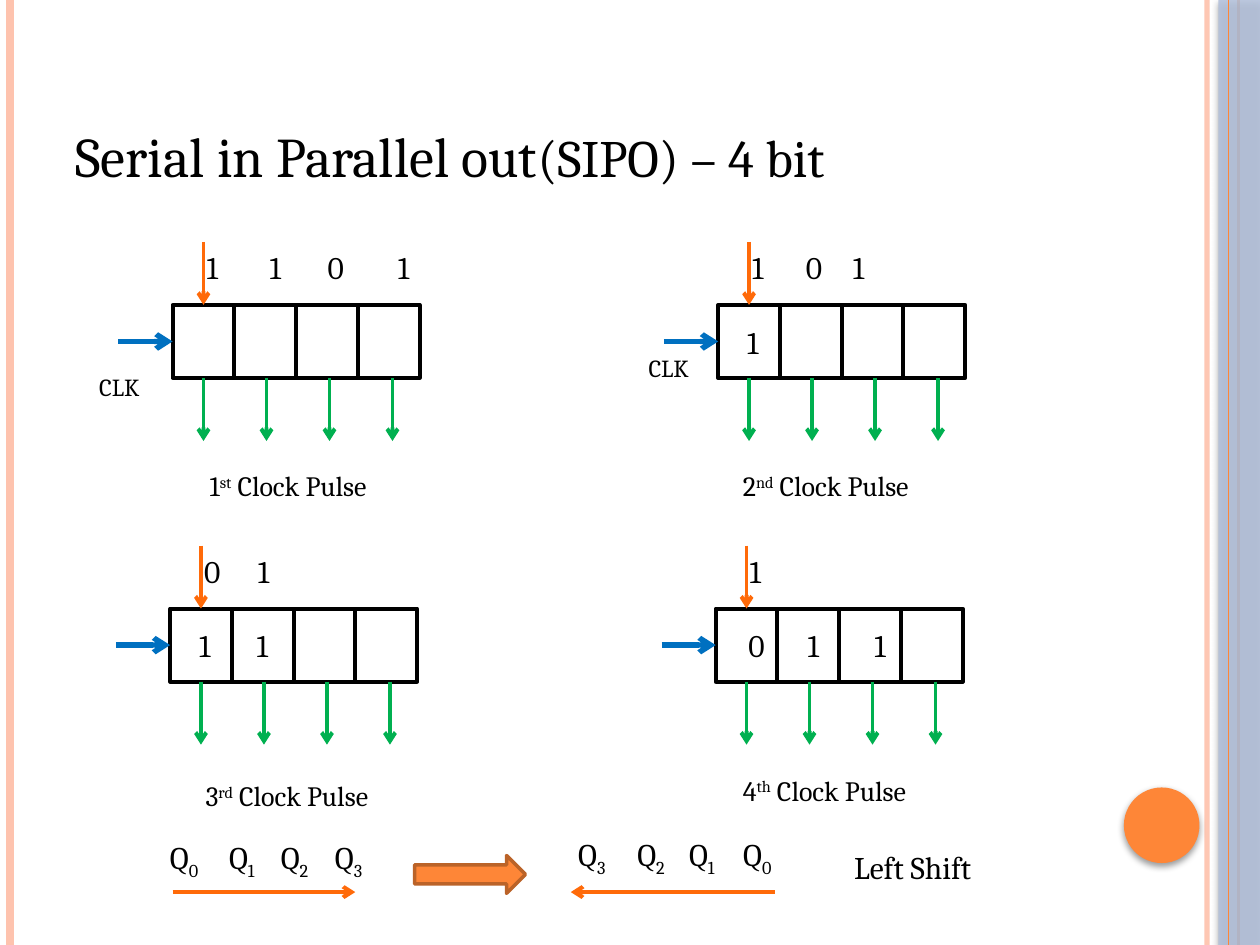
from dataclasses import dataclass

from lxml import etree
from pptx import Presentation
from pptx.dml.color import RGBColor
from pptx.enum.shapes import MSO_CONNECTOR, MSO_SHAPE
from pptx.enum.text import MSO_ANCHOR, PP_ALIGN
from pptx.oxml.ns import qn
from pptx.util import Inches, Pt

STRAIGHT = MSO_CONNECTOR.STRAIGHT
RECT, OVAL, ARROW = MSO_SHAPE.RECTANGLE, MSO_SHAPE.OVAL, MSO_SHAPE.RIGHT_ARROW
LEFT, CENTER = PP_ALIGN.LEFT, PP_ALIGN.CENTER


@dataclass(frozen=True)
class Theme:
    font: str = "Cambria"
    ink: str = "000000"
    accent: str = "FE8637"
    accent_dark: str = "BB6328"
    serial: str = "FF6A09"
    clock: str = "0070C0"
    output: str = "00B050"
    pale: str = "FEC3AE"
    band: str = "B3C1DB"
    title: int = 32
    title_end: int = 30
    bit: int = 18
    caption: int = 16
    small: int = 14


@dataclass(frozen=True)
class Register:
    """Offsets are in cells (columns, rows) from the register's top left."""
    x: float
    y: float
    ordinal: tuple[str, str]
    caption: tuple[float, float]
    waiting: tuple[tuple[float, str], ...]
    stored: tuple[tuple[float, str], ...] = ()
    clk: tuple[float, float] | None = None


T = Theme()
SW, SH = 10, 7.5
CELL_W, CELL_H, CELLS = 0.49, 0.58, 4
TAP, ARROW_LEN = 0.5, 0.5  # output pitch and arrow length
ROW_1, ROW_2 = 2.42, 4.83

REGISTERS = (
    Register(1.37, ROW_1, ("1", "st"), (-0.73, 2.16),
             ((0.35, "1"), (1.37, "1"), (2.31, "0"), (3.45, "1")),
             clk=(-1.39, 0.84)),
    Register(5.7, ROW_1, ("2", "nd"), (-0.86, 2.16),
             ((0.35, "1"), (1.22, "0"), (1.98, "1")), ((0.27, "1"),),
             clk=(-1.33, 0.57)),
    Register(1.35, ROW_2, ("3", "rd"), (-0.71, 2.24),
             ((0.35, "0"), (1.22, "1")), ((0.27, "1"), (1.2, "1"))),
    Register(5.68, ROW_2, ("4", "th"), (-0.84, 2.17),
             ((0.35, "1"),), ((0.33, "0"), (1.29, "1"), (2.37, "1"))),
)


def set_alpha(fill_parent, percent: int) -> None:
    color = next(fill_parent.iter(qn("a:srgbClr")))
    etree.SubElement(color, qn("a:alpha"), val=str(percent * 1000))


def add_line(s, x1: float, y1: float, x2: float, y2: float, *, color: str,
             width: float, head: bool = False, alpha: int = 100) -> None:
    c = s.shapes.add_connector(STRAIGHT, *map(Inches, (x1, y1, x2, y2)))
    c.line.color.rgb = RGBColor.from_string(color)
    c.line.width = Pt(width)
    ln = c.line._get_or_add_ln()
    if alpha < 100:
        set_alpha(ln, alpha)
    if head:
        etree.SubElement(ln, qn("a:tailEnd"), type="arrow")
    etree.SubElement(c._element.spPr, qn("a:effectLst"))


def add_box(s, kind, x: float, y: float, w: float, h: float, *,
            fill: str = "", line: str = "", width: float = 2.25,
            alpha: int = 100, shadow: bool = False) -> None:
    sp = s.shapes.add_shape(kind, *map(Inches, (x, y, w, h)))
    sp.shadow.inherit = False
    if fill:
        sp.fill.solid()
        sp.fill.fore_color.rgb = RGBColor.from_string(fill)
        if alpha < 100:
            set_alpha(sp._element.spPr, alpha)
    else:
        sp.fill.background()
    if line:
        sp.line.color.rgb = RGBColor.from_string(line)
        sp.line.width = Pt(width)
    else:
        sp.line.fill.background()
    if shadow:
        effects = sp._element.spPr.find(qn("a:effectLst"))
        outer = etree.SubElement(effects, qn("a:outerShdw"), blurRad=str(Pt(4)),
                                 dist=str(Pt(2)), dir="5400000", rotWithShape="0")
        etree.SubElement(outer, qn("a:srgbClr"), val=T.ink)
        set_alpha(outer, 40)


def add_run(p, text: str, *, size: float, base: int = 0) -> None:
    r = p.add_run()
    r.text = text
    r.font.name, r.font.size = T.font, Pt(size)
    r.font.color.rgb = RGBColor.from_string(T.ink)
    if base:
        r.font._element.set("baseline", str(base * 1000))


def add_text(s, x: float, y: float, w: float, h: float, text: str, *,
             size: float, script: str = "", base: int = 0, rest: str = "",
             align=LEFT) -> None:
    tf = s.shapes.add_textbox(*map(Inches, (x, y, w, h))).text_frame
    tf.word_wrap = True
    p = tf.paragraphs[0]
    p.alignment = align
    for part, shift in ((text, 0), (script, base), (rest, 0)):
        if part:
            add_run(p, part, size=size, base=shift)


def draw_frame(s) -> None:
    add_line(s, 9.58, 0, 9.58, SH, color=T.pale, width=3, alpha=93)
    add_line(s, 0.08, 0, 0.08, SH, color=T.pale, width=4.5)
    add_line(s, 9.83, 0, 9.83, SH, color=T.accent, width=1.5)
    add_box(s, RECT, 9.67, 0, 0.33, SH, fill=T.band, alpha=87, shadow=True)
    add_line(s, 9.75, 0, 9.75, SH, color=T.accent, width=0.75)
    add_box(s, OVAL, 8.92, 6.25, 0.6, 0.6, fill=T.accent, shadow=True)


def draw_title(s) -> None:
    title = s.shapes.title
    title.left, title.top, title.width, title.height = map(
        Inches, (0.5, 0.3, 8.17, 1.25))
    tf = title.text_frame
    tf.vertical_anchor = MSO_ANCHOR.BOTTOM
    p = tf.paragraphs[0]
    p.alignment = LEFT
    add_run(p, "Serial in Parallel out", size=T.title)
    add_run(p, "(SIPO) – 4 bit", size=T.title_end)


def draw_register(s, reg: Register) -> None:
    def at(col: float, row: float) -> tuple[float, float]:
        return reg.x + col * CELL_W, reg.y + row * CELL_H

    for i in range(CELLS):
        add_box(s, RECT, *at(i, 0), CELL_W, CELL_H, line=T.ink)

    # Serial input, clock and parallel outputs
    mid_x, mid_y = at(0.5, 0.5)
    add_line(s, mid_x, reg.y - ARROW_LEN, mid_x, reg.y,
             color=T.serial, width=2.25, head=True)
    add_line(s, reg.x - 0.43, mid_y, reg.x, mid_y,
             color=T.clock, width=3, head=True)
    bottom = reg.y + CELL_H
    for i in range(CELLS):
        x = mid_x + i * TAP
        add_line(s, x, bottom, x, bottom + ARROW_LEN,
                 color=T.output, width=2.25, head=True)

    # Bits and labels
    for bits, row in ((reg.waiting, -0.86), (reg.stored, 0.16)):
        for col, bit in bits:
            add_text(s, *at(col, row), 0.3, 0.4, bit, size=T.bit)
    if reg.clk:
        add_text(s, *at(*reg.clk), 0.65, 0.33, "CLK", size=T.small)
    number, suffix = reg.ordinal
    add_text(s, *at(*reg.caption), 2.55, 0.36, number, script=suffix, base=30,
             rest=" Clock Pulse", size=T.caption, align=CENTER)


def draw_outputs(s, x: float, y: float, order: str) -> None:
    for dx, index in zip((0, 0.47, 0.88, 1.31), order):
        add_text(s, x + dx, y, 0.62, 0.44, "Q", script=index, base=-25, size=T.bit)


def draw_shift(s) -> None:
    draw_outputs(s, 1.25, 6.6, "0123")
    draw_outputs(s, 4.49, 6.58, "3210")
    add_box(s, ARROW, 3.29, 6.79, 0.88, 0.3, fill=T.accent,
            line=T.accent_dark, width=2)
    for start, end in ((1.37, 2.82), (6.15, 4.53)):
        add_line(s, start, 7.08, end, 7.08, color=T.serial, width=2.25, head=True)
    add_text(s, 6.68, 6.68, 1.9, 0.4, "Left Shift", size=T.bit)


def main() -> None:
    prs = Presentation()
    prs.slide_width, prs.slide_height = Inches(SW), Inches(SH)
    s = prs.slides.add_slide(prs.slide_layouts[5])  # title only
    draw_frame(s)
    draw_title(s)
    for reg in REGISTERS:
        draw_register(s, reg)
    draw_shift(s)
    prs.save("out.pptx")


if __name__ == "__main__":
    main()
